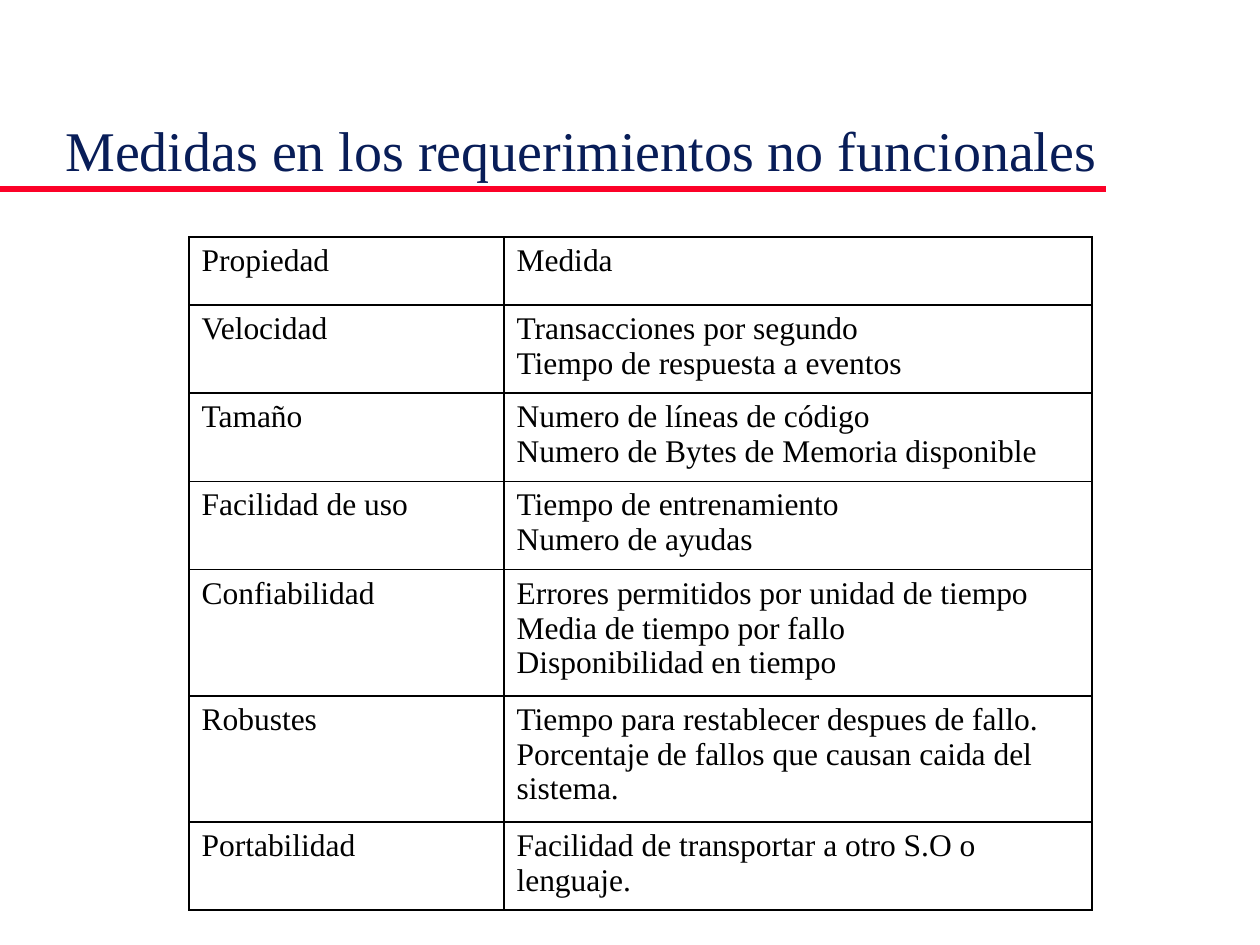
from lxml.etree import SubElement
from pptx import Presentation
from pptx.dml.color import RGBColor
from pptx.enum.shapes import MSO_CONNECTOR
from pptx.enum.text import MSO_ANCHOR
from pptx.oxml.ns import qn
from pptx.util import Emu, Pt

FONT = "Times New Roman"
NAVY, RED, BLACK = "081D58", "FC0128", "000000"
COLUMN_WIDTHS = [315, 588]
HEADER_HEIGHT = 68
LINE_HEIGHT = 35
CELL_PADDING = 12

MEASURES = [
    ("Propiedad", ["Medida"], 1),
    ("Velocidad", ["Transacciones por segundo", "Tiempo de respuesta a eventos"], 2),
    ("Tamaño", ["Numero de líneas de código", "Numero de Bytes de Memoria disponible"], 2),
    ("Facilidad de uso", ["Tiempo de entrenamiento", "Numero de ayudas"], 2),
    ("Confiabilidad", ["Errores permitidos por unidad de tiempo", "Media de tiempo por fallo",
                       "Disponibilidad en tiempo"], 3),
    ("Robustes", ["Tiempo para restablecer despues de fallo.",
                  "Porcentaje de fallos que causan caida del sistema."], 3),
    ("Portabilidad", ["Facilidad de transportar a otro S.O o lenguaje."], 2),
]


def px(pixels):
    return Emu(round(pixels * 914400 / 126))


def color(value):
    return RGBColor.from_string(value)


def write_text(frame, lines, size, ink):
    frame.word_wrap = True
    frame.text = "\n".join(lines)
    for paragraph in frame.paragraphs:
        paragraph.font.name = FONT
        paragraph.font.size = Pt(size)
        paragraph.font.color.rgb = color(ink)


def add_rule(page, left, right, y, width, ink):
    rule = page.shapes.add_connector(MSO_CONNECTOR.STRAIGHT, px(left), px(y), px(right), px(y))
    rule.line.color.rgb = color(ink)
    rule.line.width = Pt(width)
    SubElement(rule.element.spPr, qn("a:effectLst"))


def add_title(page, text):
    box = page.shapes.add_textbox(px(53), px(37), px(1071), px(152))
    write_text(box.text_frame, [text], 32, NAVY)
    box.text_frame.vertical_anchor = MSO_ANCHOR.BOTTOM


def add_borders(cell, width, ink):
    properties = cell._tc.get_or_add_tcPr()
    for position, side in enumerate(("a:lnL", "a:lnR", "a:lnT", "a:lnB")):
        border = SubElement(properties, qn(side), w=str(Pt(width)))
        fill = SubElement(border, qn("a:solidFill"))
        SubElement(fill, qn("a:srgbClr"), val=ink)
        properties.insert(position, border)


def add_measures_table(page, left, top):
    heights = [HEADER_HEIGHT] + [count * LINE_HEIGHT + CELL_PADDING for _, _, count in MEASURES[1:]]
    table = page.shapes.add_table(len(heights), len(COLUMN_WIDTHS), px(left), px(top),
                                  px(sum(COLUMN_WIDTHS)), px(sum(heights))).table
    table.first_row = False
    table.horz_banding = False
    for column, width in zip(table.columns, COLUMN_WIDTHS):
        column.width = px(width)
    for row, height, (name, measures, _) in zip(table.rows, heights, MEASURES):
        row.height = px(height)
        for cell, lines in zip(row.cells, ([name], measures)):
            write_text(cell.text_frame, lines, 18, BLACK)
            cell.fill.background()
            add_borders(cell, 1, BLACK)


def main():
    deck = Presentation()
    deck.slide_width, deck.slide_height = px(1260), px(945)
    page = deck.slides.add_slide(deck.slide_layouts[6])
    add_rule(page, 0, 1106, 189, 4, RED)
    add_title(page, "Medidas en los requerimientos no funcionales")
    add_measures_table(page, 189, 237)
    deck.save("out.pptx")


main()
